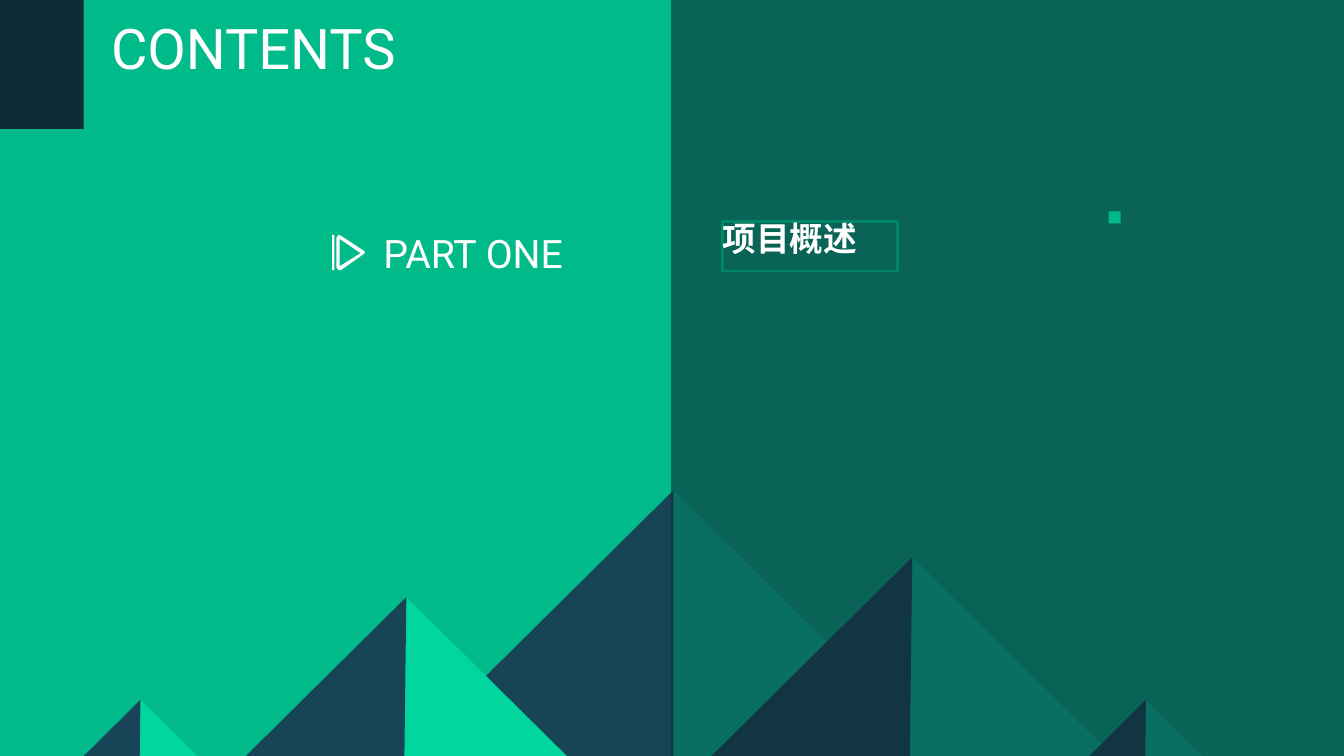
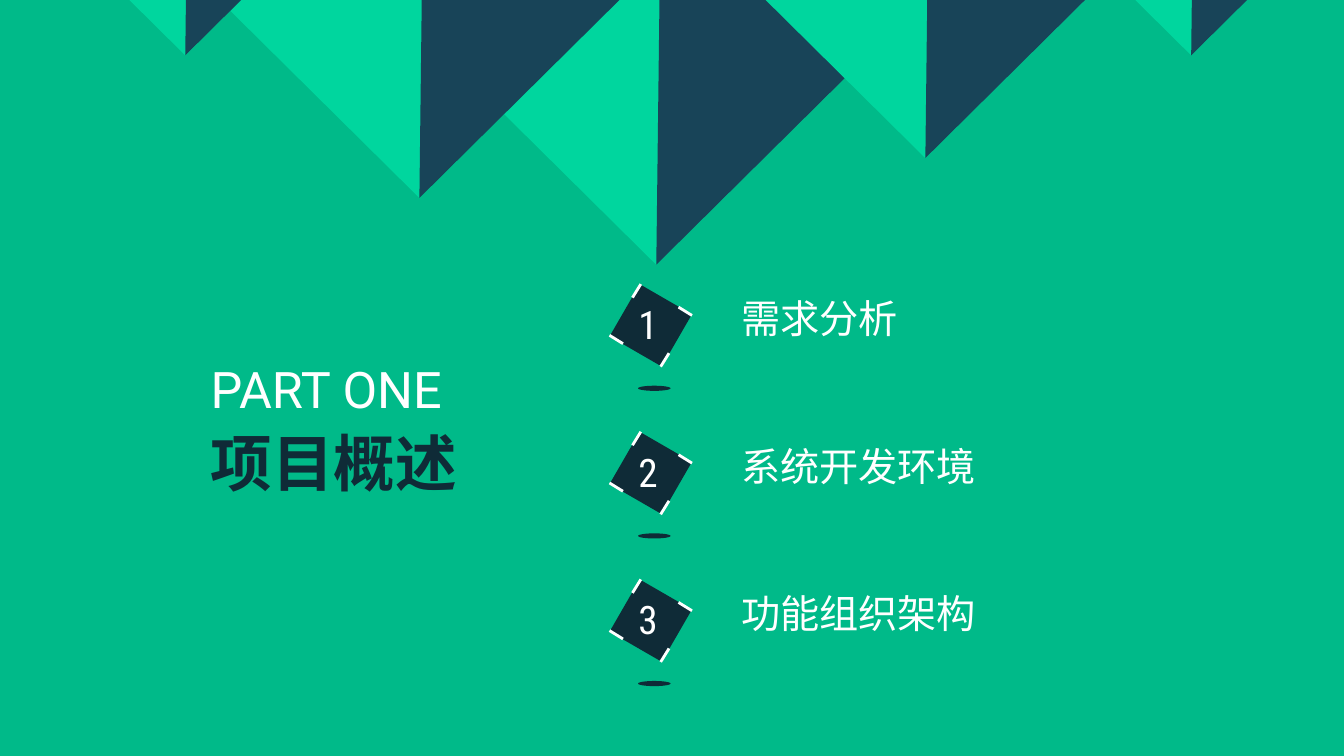
"""Build a contents slide and a section slide with mountain peaks."""
import lxml.etree
import pptx
import pptx.dml.color
import pptx.enum.shapes
import pptx.enum.text
import pptx.oxml.ns
import pptx.util

Cm = pptx.util.Cm
Pt = pptx.util.Pt
qn = pptx.oxml.ns.qn
KIND = pptx.enum.shapes.MSO_SHAPE

HUES = {
    "green": "00BA89",
    "mint": "00D69E",
    "slate": "184458",
    "ink": "0F2B37",
    "frame": "008864",
    "white": "FFFFFF",
}
WIDE, HIGH = 33.87, 19.05
SLOPE = 0.495
LEAN = 0.006
LATIN, NARROW, HAN = "Roboto", "Roboto Condensed", "Noto Sans CJK SC"
PAD = 0.13


def hue(name):
    return pptx.dml.color.RGBColor.from_string(HUES[name])


def paint(shape, fill=None, alpha=None):
    shape.shadow.inherit = False
    shape.line.fill.background()
    if fill is None:
        shape.fill.background()
        return
    shape.fill.solid()
    shape.fill.fore_color.rgb = hue(fill)
    if alpha is not None:
        tone = shape._element.spPr.find(qn("a:solidFill"))[0]
        lxml.etree.SubElement(tone, qn("a:alpha")).set("val", str(alpha * 1000))


def block(slide, kind, box, fill=None, alpha=None, turn=0):
    shape = slide.shapes.add_shape(kind, *map(Cm, box))
    shape.rotation = turn
    paint(shape, fill, alpha)
    return shape


def outline(slide, paths, fill):
    rings = [[(Cm(x), Cm(y)) for x, y in ring] for ring in paths]
    maker = slide.shapes.build_freeform(*rings[0][0])
    maker.add_line_segments(rings[0][1:])
    for ring in rings[1:]:
        maker.move_to(*ring[0])
        maker.add_line_segments(ring[1:])
    paint(maker.convert_to_shape(), fill)


def write(shape, words, size, font, tint="white", bold=False, pad=PAD):
    frame = shape.text_frame
    frame.word_wrap = True
    frame.auto_size = pptx.enum.text.MSO_AUTO_SIZE.NONE
    frame.vertical_anchor = pptx.enum.text.MSO_ANCHOR.TOP
    frame.margin_left = frame.margin_right = Cm(pad)
    frame.margin_top = frame.margin_bottom = Cm(pad)
    para = frame.paragraphs[0]
    para.alignment = pptx.enum.text.PP_ALIGN.LEFT
    if font == HAN:
        para.line_spacing = 0.92
    run = para.add_run()
    run.text = words
    run.font.size = Pt(size)
    run.font.bold = bold
    run.font.color.rgb = hue(tint)
    run.font.name = font
    east = lxml.etree.SubElement(run._r.get_or_add_rPr(), qn("a:ea"))
    east.set("typeface", font)


def label(slide, box, words, size, font, tint="white", bold=False):
    write(slide.shapes.add_textbox(*map(Cm, box)), words, size, font, tint, bold)


def stroke(slide, start, end):
    line = slide.shapes.add_connector(
        pptx.enum.shapes.MSO_CONNECTOR.STRAIGHT, *map(Cm, start + end))
    line.line.color.rgb = hue("white")
    line.line.width = Pt(2)
    lxml.etree.SubElement(line._element.spPr, qn("a:effectLst"))


def peak(slide, tip, width, base, way, lean=LEAN):
    tall = width * SLOPE
    top = min(base, base - way * tall)
    block(slide, KIND.ISOSCELES_TRIANGLE, (tip - width / 2, top, width, tall),
          "mint", turn=0 if way > 0 else 180)
    outline(slide, [[(tip, base - way * tall),
                     (tip - way * lean * width, base),
                     (tip - way * width / 2, base),
                     (tip, base - way * tall)]], "slate")


def tile(slide, mid, top, mark):
    side = 1.52
    block(slide, KIND.RECTANGLE, (mid - side / 2, top - side / 2, side, side),
          "ink", turn=30)
    near, far = (0.7, -0.46), (1.04, -0.25)
    for _ in range(4):
        stroke(slide, (mid + near[0], top + near[1]), (mid + far[0], top + far[1]))
        near, far = (-near[1], near[0]), (-far[1], far[0])
    label(slide, (mid - 0.44, top - 0.76, 1.09, 1.45), mark, 28, NARROW)
    block(slide, KIND.OVAL, (mid - 0.32, top + 1.52, 0.82, 0.13), "ink")


def icon(slide):
    play = [(8.48, 5.99), (8.48, 6.73), (8.53, 6.81), (8.59, 6.81), (9.17, 6.4),
            (9.2, 6.36), (9.17, 6.32), (8.59, 5.94), (8.53, 5.92), (8.48, 5.99)]
    hole = [(8.56, 6.02), (9.09, 6.38), (8.56, 6.71), (8.56, 6.02)]
    bar = [(8.37, 5.92), (8.43, 5.92), (8.43, 6.81), (8.37, 6.81), (8.37, 5.92)]
    outline(slide, [play, hole, bar], "white")


def page(deck):
    slide = deck.slides.add_slide(deck.slide_layouts[6])
    slide.background.fill.solid()
    slide.background.fill.fore_color.rgb = hue("green")
    return slide


def contents(deck):
    slide = page(deck)
    base = 19.07
    peak(slide, 16.97, 13.56, base, 1, lean=0)
    for tip, width in ((10.24, 8.13), (22.99, 10.16), (3.54, 2.9), (28.88, 2.9)):
        peak(slide, tip, width, base, 1)
    block(slide, KIND.RECTANGLE, (WIDE / 2 - 0.02, 0, WIDE / 2 + 0.02, HIGH),
          "ink", alpha=60)
    label(slide, (2.67, 0.2, 12.5, 1.96), "CONTENTS", 40, LATIN)
    label(slide, (9.53, 5.64, 5.72, 1.45), "PART ONE", 28, LATIN)
    frame = block(slide, KIND.RECTANGLE, (18.21, 5.59, 4.42, 1.24))
    frame.line.color.rgb = hue("frame")
    frame.line.width = Pt(2)
    write(frame, "项目概述", 24, HAN, bold=True, pad=0)
    block(slide, KIND.RECTANGLE, (27.94, 5.33, 0.3, 0.3), "green")
    icon(slide)
    block(slide, KIND.RECTANGLE, (0, 0, 2.11, 3.25), "ink")


def section(deck):
    slide = page(deck)
    for tip, width in ((16.54, 13.56), (23.32, 8.13), (10.57, 10.16),
                       (30.02, 2.9), (4.67, 2.9)):
        peak(slide, tip, width, -0.04, -1)
    label(slide, (5.18, 8.89, 7.21, 1.78), "PART ONE", 36, LATIN)
    label(slide, (5.18, 10.77, 6.78, 2.44), "项目概述", 44, HAN, "ink", True)
    topics = ("需求分析", "系统开发环境", "功能组织架构")
    for row, topic in enumerate(topics):
        top = 8.2 + row * 3.72
        tile(slide, 16.4, top, str(row + 1))
        label(slide, (18.55, top - 0.8, 7.85, 1.68), topic, 28, HAN)


def main():
    deck = pptx.Presentation()
    deck.slide_width, deck.slide_height = Cm(WIDE), Cm(HIGH)
    contents(deck)
    section(deck)
    deck.save("out.pptx")


if __name__ == "__main__":
    main()
